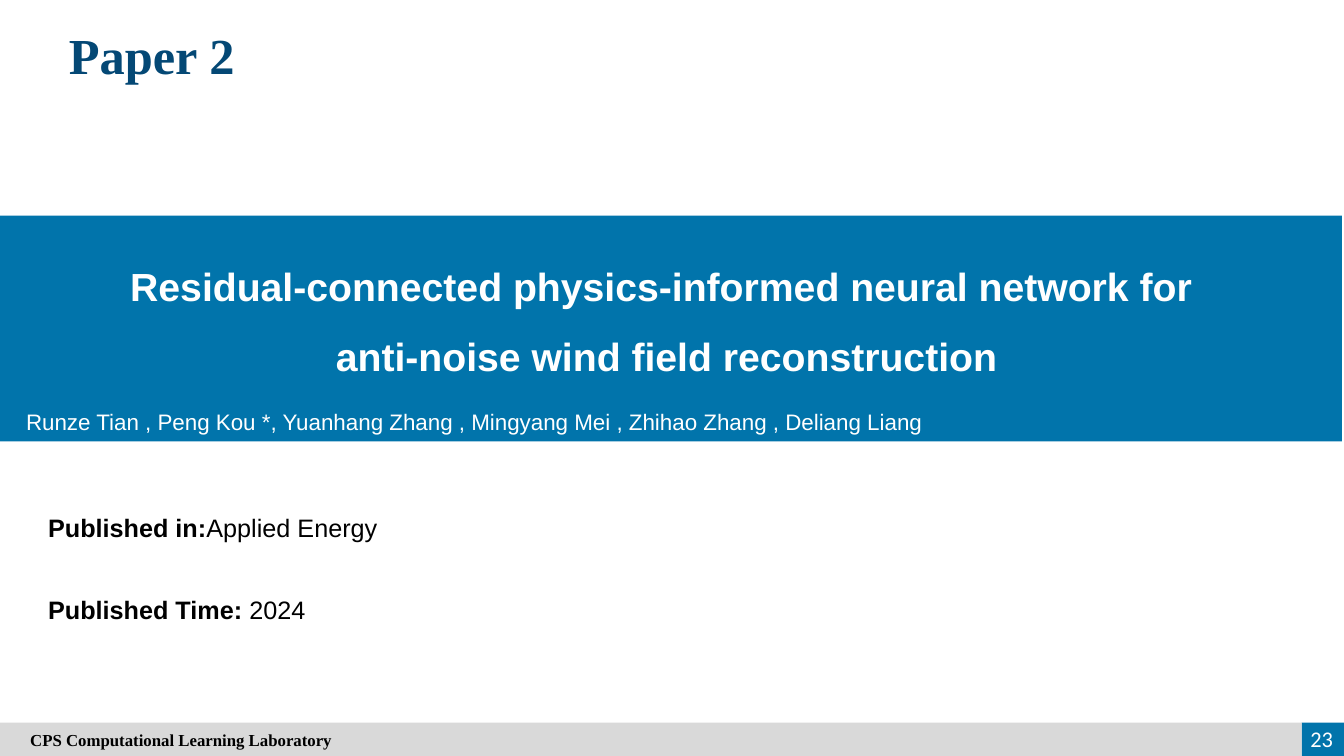
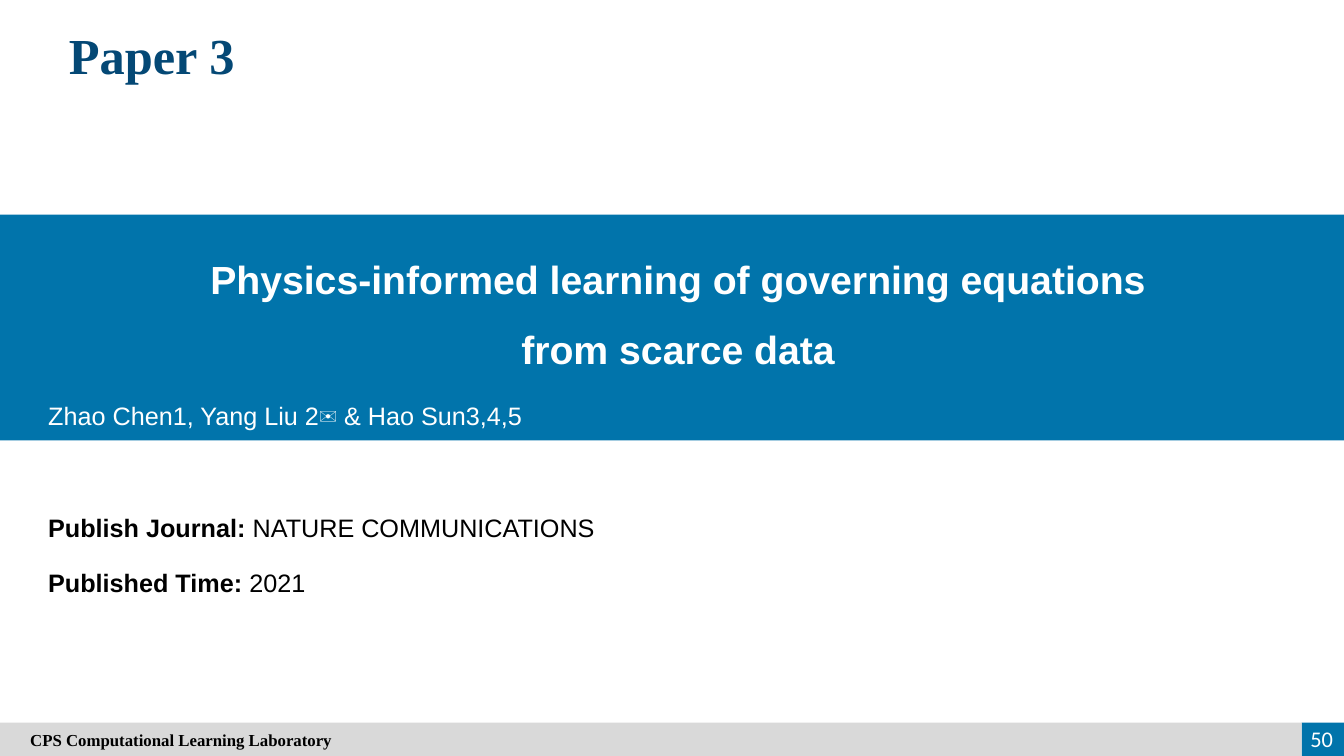
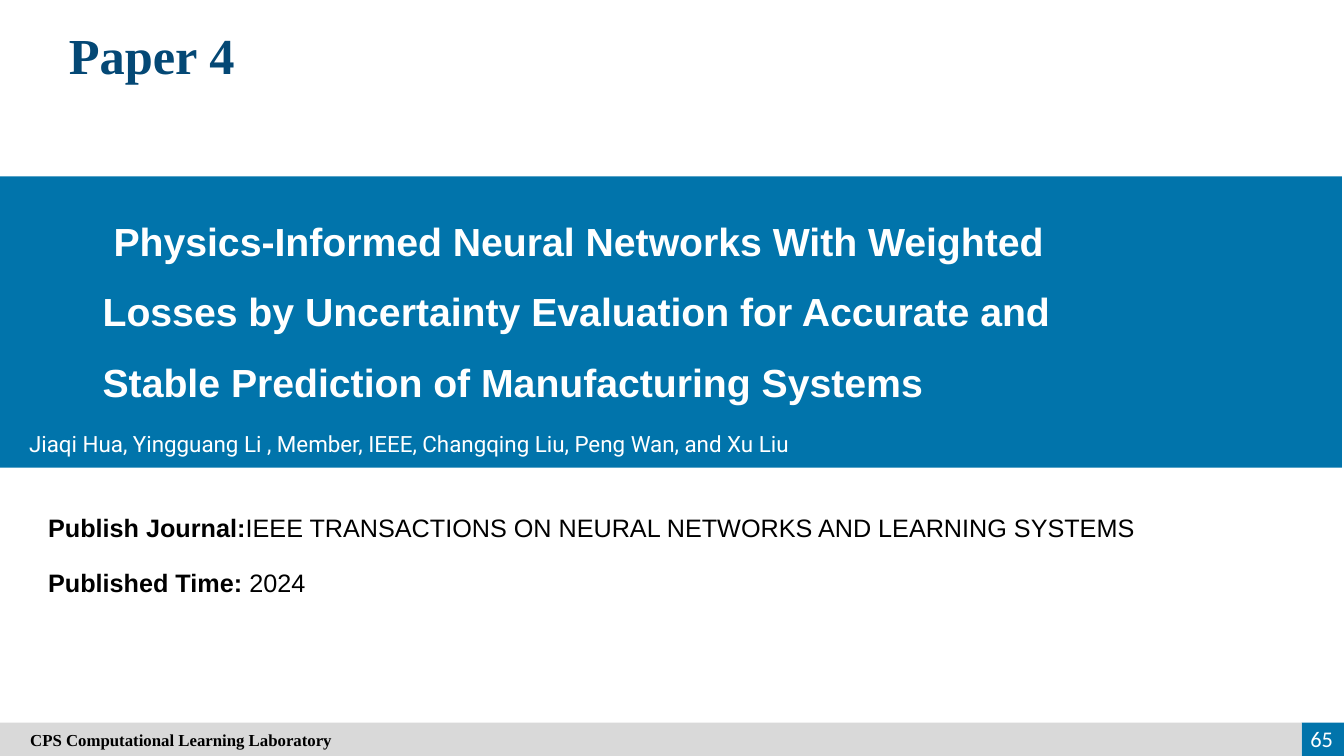
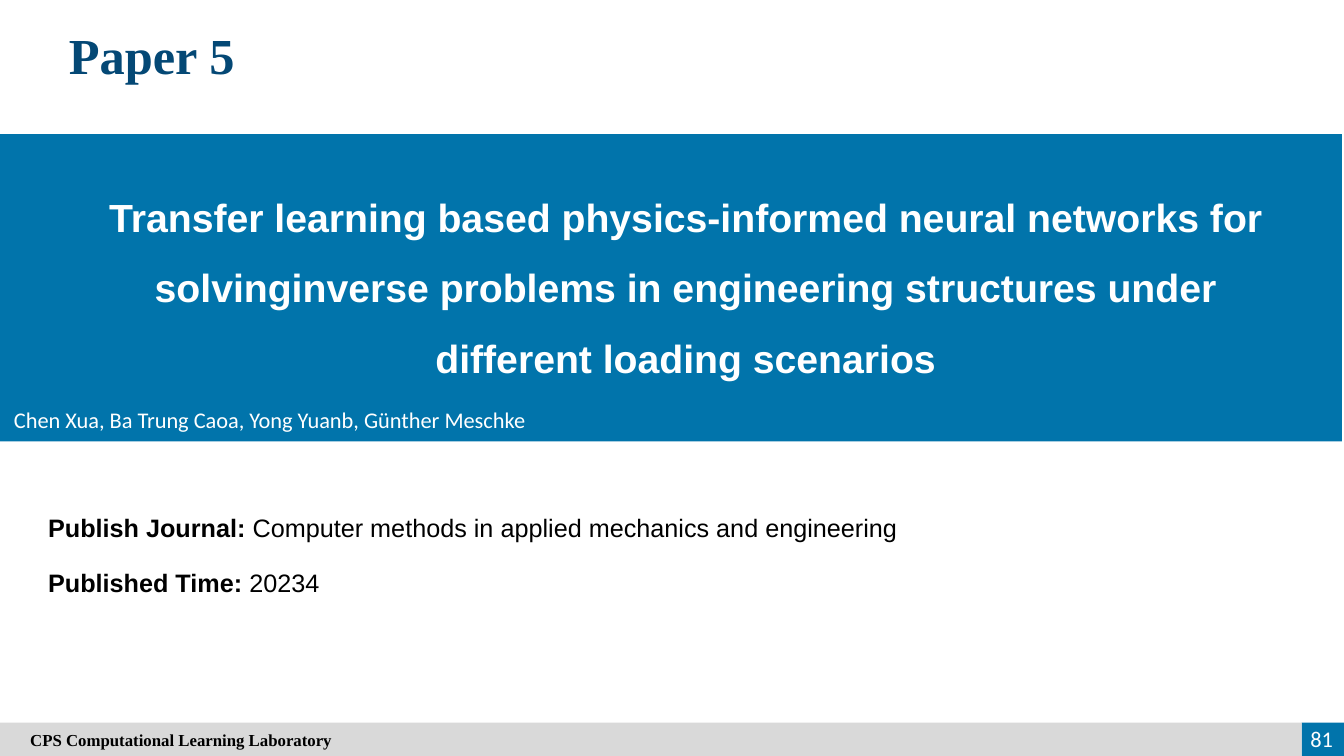
from dataclasses import dataclass

from pptx import Presentation
from pptx.dml.color import RGBColor
from pptx.enum.shapes import MSO_SHAPE
from pptx.enum.text import MSO_ANCHOR, PP_ALIGN
from pptx.shapes.autoshape import Shape
from pptx.slide import Slide
from pptx.util import Inches, Pt

COLORS = {
    "band": "0174AB",
    "heading": "044875",
    "footer": "D9D9D9",
    "light": "FFFFFF",
    "dark": "000000",
}
SLIDE_WIDTH, SLIDE_HEIGHT = 13.33, 7.5
FOOTER_TOP, FOOTER_WIDTH = 7.17, 12.91
DETAIL_TOP = 5.03
LABORATORY = "CPS Computational Learning Laboratory"


@dataclass(frozen=True)
class Box:
    left: float
    top: float
    width: float
    height: float

    def lengths(self) -> tuple[Inches, Inches, Inches, Inches]:
        return Inches(self.left), Inches(self.top), Inches(self.width), Inches(self.height)


@dataclass(frozen=True)
class Style:
    size: int
    color: str
    font: str = "Arial"
    bold: bool = False
    align: PP_ALIGN = PP_ALIGN.LEFT
    line_spacing: float = 1.0


@dataclass(frozen=True)
class Detail:
    label: str
    value: str


@dataclass(frozen=True)
class Paper:
    number: int
    page: int
    band: Box
    title_box: Box
    title_lines: tuple[str, ...]
    authors_box: Box
    authors: str
    authors_style: Style
    details: tuple[Detail, Detail]
    detail_step: float = 0.55
    title_align: PP_ALIGN = PP_ALIGN.CENTER


HEADING = Style(36, "heading", "Times New Roman", True, PP_ALIGN.CENTER)
FOOTER = Style(12, "dark", "Times New Roman", True)
PAGE_NUMBER = Style(16, "light", "Calibri", align=PP_ALIGN.RIGHT)
DETAIL_LABEL = Style(18, "dark", bold=True)
DETAIL_VALUE = Style(18, "dark")

PAPERS = (
    Paper(
        number=2,
        page=23,
        band=Box(0, 2.14, 13.31, 2.24),
        title_box=Box(0.35, 2.31, 12.52, 1.51),
        title_lines=(
            "Residual-connected physics-informed neural network for ",
            "anti-noise wind field reconstruction",
        ),
        authors_box=Box(0.16, 4, 13, 0.37),
        authors="Runze Tian , Peng Kou *, Yuanhang Zhang , Mingyang Mei , Zhihao Zhang , Deliang Liang",
        authors_style=Style(16, "light"),
        details=(Detail("Published in:", "Applied Energy"), Detail("Published Time:", " 2024")),
        detail_step=0.82,
    ),
    Paper(
        number=3,
        page=50,
        band=Box(0, 2.13, SLIDE_WIDTH, 2.24),
        title_box=Box(0.31, 2.24, 12.83, 1.51),
        title_lines=("Physics-informed learning of governing equations", "from scarce data"),
        authors_box=Box(0.38, 3.92, 6.69, 0.4),
        authors="Zhao Chen1, Yang Liu 2✉ & Hao Sun3,4,5",
        authors_style=Style(18, "light"),
        details=(
            Detail("Publish Journal: ", "NATURE COMMUNICATIONS"),
            Detail("Published Time:", " 2021"),
        ),
    ),
    Paper(
        number=4,
        page=65,
        band=Box(0, 1.75, 13.31, 2.89),
        title_box=Box(0.92, 1.86, 12.2, 2.22),
        title_lines=(
            " Physics-Informed Neural Networks With Weighted",
            "Losses by Uncertainty Evaluation for Accurate and",
            "Stable Prediction of Manufacturing Systems",
        ),
        title_align=PP_ALIGN.LEFT,
        authors_box=Box(0.19, 4.22, 9.08, 0.37),
        authors="Jiaqi Hua, Yingguang Li , Member, IEEE, Changqing Liu, Peng Wan, and Xu Liu",
        authors_style=Style(16, "light", "Roboto"),
        details=(
            Detail("Publish Journal:", "IEEE TRANSACTIONS ON NEURAL NETWORKS AND LEARNING SYSTEMS"),
            Detail("Published Time:", " 2024"),
        ),
    ),
    Paper(
        number=5,
        page=81,
        band=Box(0, 1.33, 13.31, 3.05),
        title_box=Box(0.81, 1.62, 11.98, 2.22),
        title_lines=(
            "Transfer learning based physics-informed neural networks for solvinginverse "
            "problems in engineering structures under different loading scenarios",
        ),
        authors_box=Box(0.04, 3.98, 9.33, 0.37),
        authors="Chen Xua, Ba Trung Caoa, Yong Yuanb, Günther Meschke",
        authors_style=Style(16, "light", "Calibri"),
        details=(
            Detail("Publish Journal: ", "Computer methods in applied mechanics and engineering"),
            Detail("Published Time:", " 20234"),
        ),
    ),
)


def add_rectangle(slide: Slide, box: Box, color: str) -> Shape:
    shape = slide.shapes.add_shape(MSO_SHAPE.RECTANGLE, *box.lengths())
    shape.shadow.inherit = False
    shape.fill.solid()
    shape.fill.fore_color.rgb = RGBColor.from_string(COLORS[color])
    shape.line.fill.background()
    return shape


def write(shape: Shape, *lines: list[tuple[str, Style]]) -> None:
    """Fill a shape with paragraphs, each a list of styled runs."""
    frame = shape.text_frame
    frame.word_wrap = True
    frame.vertical_anchor = MSO_ANCHOR.MIDDLE
    for index, line in enumerate(lines):
        paragraph = frame.add_paragraph() if index else frame.paragraphs[0]
        paragraph.alignment = line[0][1].align
        paragraph.line_spacing = line[0][1].line_spacing
        for text, style in line:
            run = paragraph.add_run()
            run.text = text
            run.font.name = style.font
            run.font.size = Pt(style.size)
            run.font.bold = style.bold
            run.font.color.rgb = RGBColor.from_string(COLORS[style.color])


def add_text(slide: Slide, box: Box, *lines: list[tuple[str, Style]]) -> None:
    write(slide.shapes.add_textbox(*box.lengths()), *lines)


def add_footer(slide: Slide, page: int) -> None:
    add_rectangle(slide, Box(FOOTER_WIDTH, FOOTER_TOP, SLIDE_WIDTH - FOOTER_WIDTH, 0.33), "band")
    strip = add_rectangle(slide, Box(0, FOOTER_TOP, FOOTER_WIDTH, 0.33), "footer")
    strip.text_frame.margin_left = Inches(0.3)
    write(strip, [(LABORATORY, FOOTER)])
    add_text(slide, Box(12.69, 7.13, 0.63, 0.4), [(str(page), PAGE_NUMBER)])


def add_paper_slide(presentation: Presentation, paper: Paper) -> None:
    slide = presentation.slides.add_slide(presentation.slide_layouts[6])
    add_text(slide, Box(0.38, 0.18, 2.25, 0.71), [(f"Paper {paper.number}", HEADING)])
    add_rectangle(slide, paper.band, "band")
    title = Style(28, "light", bold=True, align=paper.title_align, line_spacing=1.5)
    add_text(slide, paper.title_box, *([(line, title)] for line in paper.title_lines))
    add_text(slide, paper.authors_box, [(paper.authors, paper.authors_style)])
    for index, detail in enumerate(paper.details):
        box = Box(0.38, DETAIL_TOP + index * paper.detail_step, 12.5, 0.4)
        add_text(slide, box, [(detail.label, DETAIL_LABEL), (detail.value, DETAIL_VALUE)])
    add_footer(slide, paper.page)


def main() -> None:
    presentation = Presentation()
    presentation.slide_width = Inches(SLIDE_WIDTH)
    presentation.slide_height = Inches(SLIDE_HEIGHT)
    for paper in PAPERS:
        add_paper_slide(presentation, paper)
    presentation.save("out.pptx")


if __name__ == "__main__":
    main()
